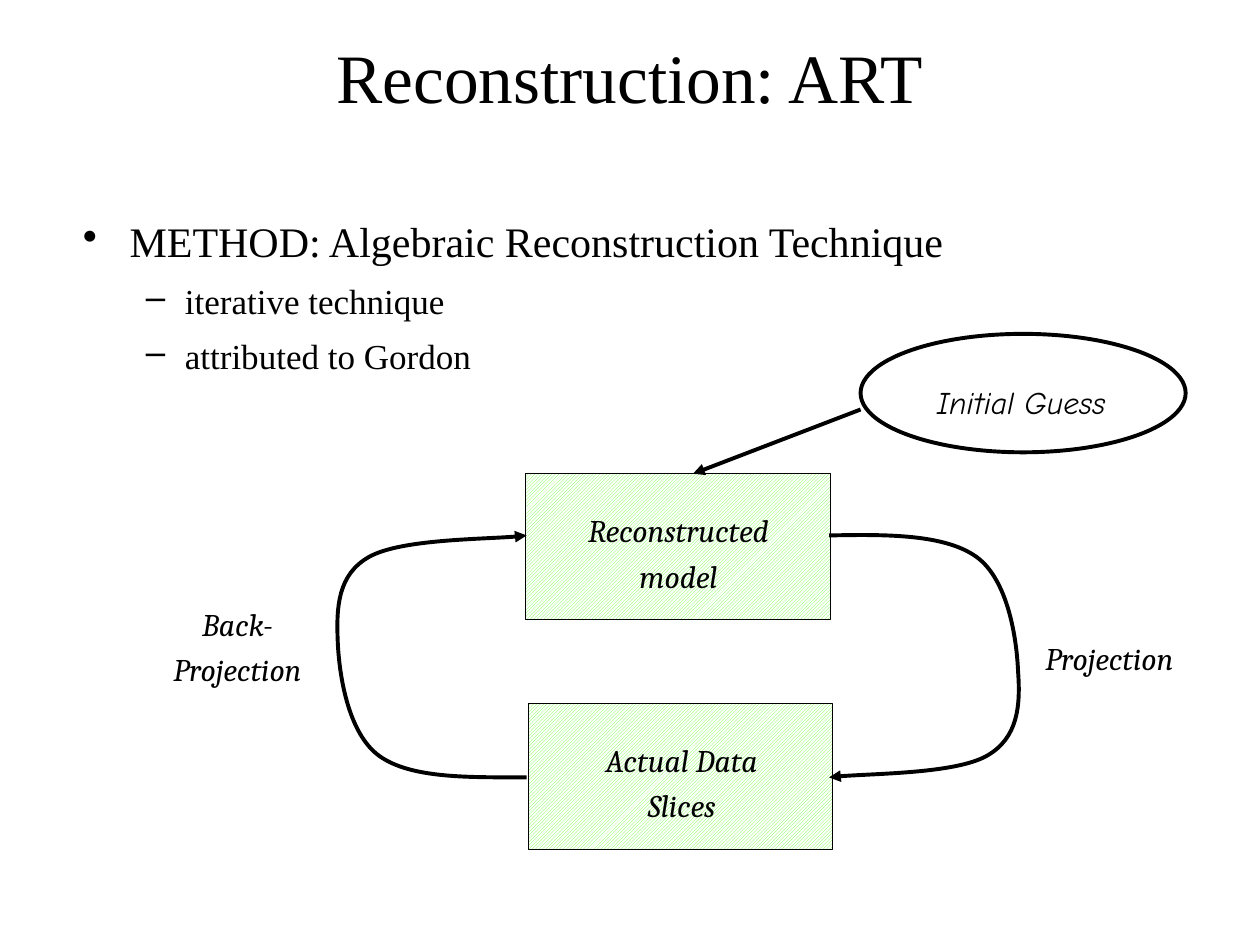
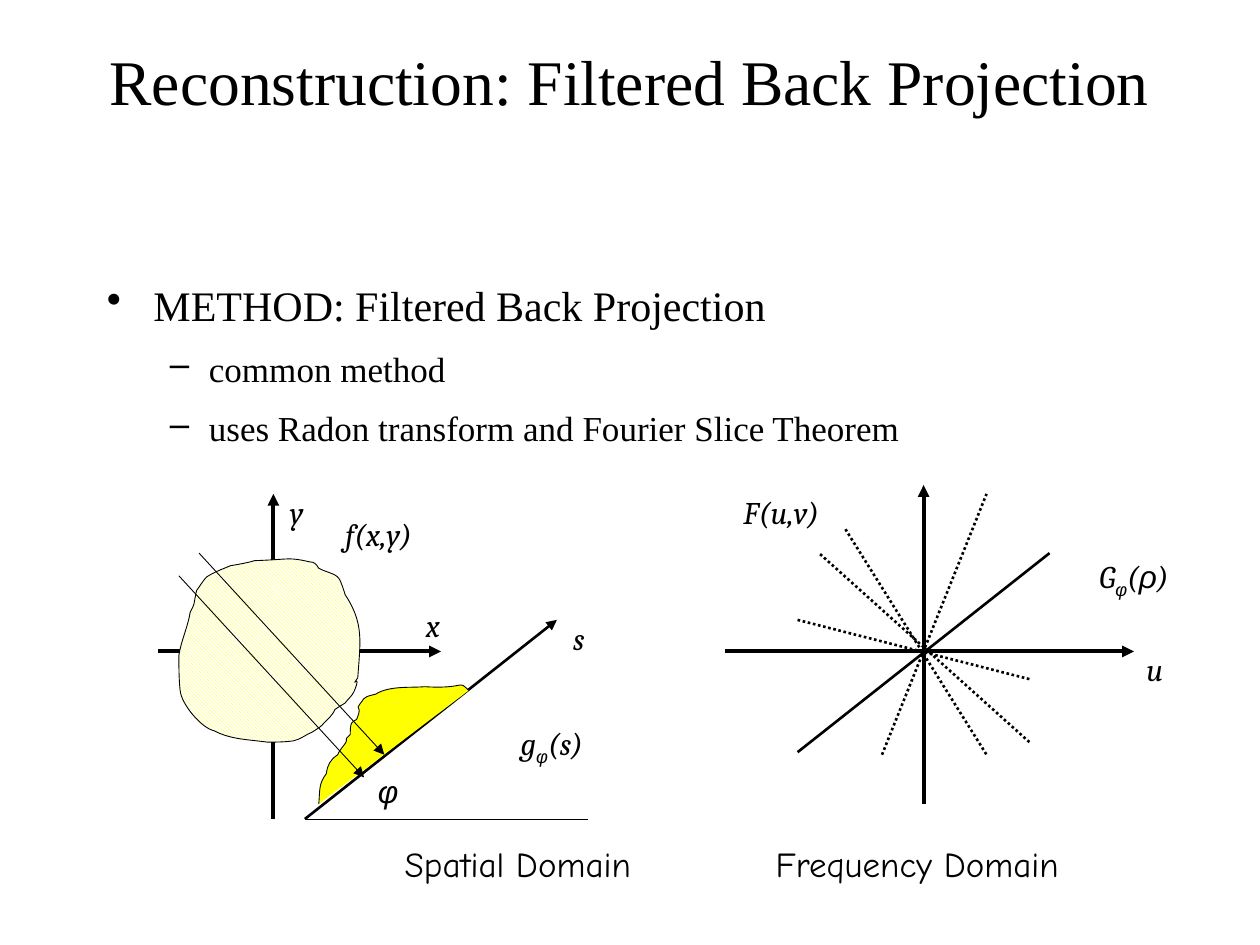
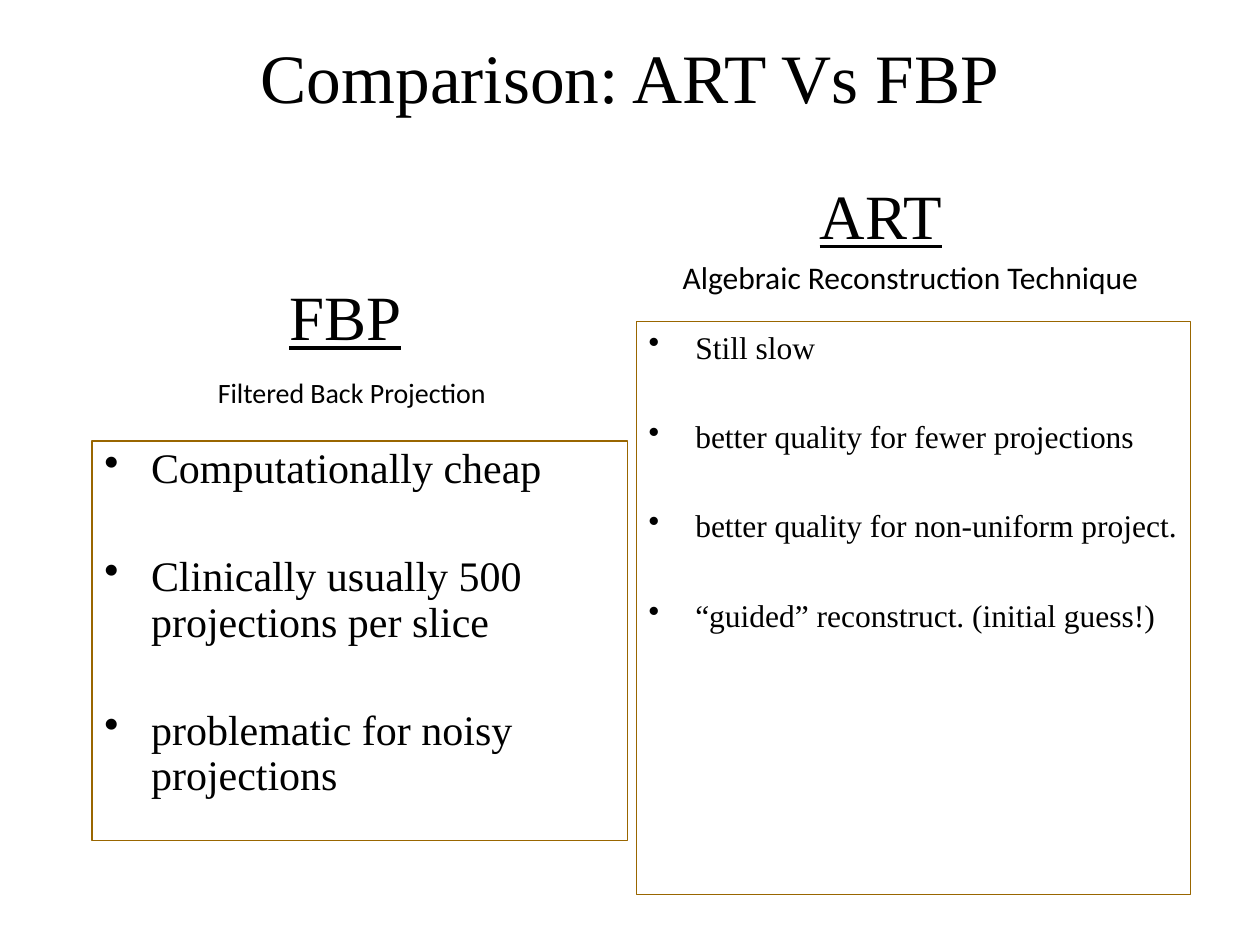
"""Build three slides on tomographic reconstruction methods."""
from lxml import etree
from pptx import Presentation
from pptx.dml.color import RGBColor
from pptx.enum.dml import MSO_LINE, MSO_PATTERN
from pptx.enum.shapes import MSO_CONNECTOR, MSO_SHAPE
from pptx.enum.text import MSO_ANCHOR, MSO_AUTO_SIZE, PP_ALIGN
from pptx.oxml.ns import qn
from pptx.util import Pt

PX = 9144
COLORS = {"ink": "000000", "paper": "FFFFFF", "green": "66FF33",
          "yellow": "FFFF00", "brown": "996600"}
SERIF, MATH, GREEK = "Times New Roman", "Cambria", "Arial"
CASUAL, SANS = "Comic Neue", "Calibri"
TITLE_ONLY = 5
CENTER, TOP, MIDDLE = PP_ALIGN.CENTER, MSO_ANCHOR.TOP, MSO_ANCHOR.MIDDLE
NO_FIT, GROW = MSO_AUTO_SIZE.NONE, MSO_AUTO_SIZE.SHAPE_TO_FIT_TEXT
RECT, OVAL = MSO_SHAPE.RECTANGLE, MSO_SHAPE.OVAL
STRAIGHT, DOTTED = MSO_CONNECTOR.STRAIGHT, MSO_LINE.ROUND_DOT
UP_HATCH = MSO_PATTERN.DARK_UPWARD_DIAGONAL
DOWN_HATCH = MSO_PATTERN.DARK_DOWNWARD_DIAGONAL
LEVELS = [("•", 37, 37, 24), ("–", 81, 31, 20)]

PROJECTION_LOOP = [
    (658, 425), (704, 424), (750, 424), (775, 442), (800, 460), (807, 507),
    (808, 533), (810, 560), (808, 586), (783, 600), (758, 614), (679, 614),
    (658, 617)]
BACK_PROJECTION_LOOP = [
    (418, 617), (372, 617), (326, 618), (301, 600), (276, 582), (269, 535),
    (268, 508), (267, 482), (268, 456), (293, 442), (318, 428), (397, 428),
    (418, 425)]
OBJECT_OUTLINE = [
    (246, 446), (228, 442), (232, 444), (202, 445), (196, 447), (183, 449),
    (183, 449), (176, 452), (170, 454), (164, 458), (162, 460), (160, 463),
    (158, 466), (157, 467), (156, 469), (156, 469), (153, 483), (155, 478),
    (151, 486), (149, 498), (144, 508), (142, 520), (142, 529), (142, 539),
    (143, 548), (144, 559), (160, 578), (170, 580), (183, 587), (198, 587),
    (212, 589), (219, 589), (226, 589), (233, 588), (238, 587), (243, 583),
    (248, 581), (257, 575), (252, 579), (262, 569), (264, 567), (265, 565),
    (266, 563), (269, 561), (274, 558), (274, 558), (276, 555), (279, 553),
    (281, 549), (288, 532), (277, 548), (284, 538), (286, 509), (289, 495),
    (274, 472), (273, 469), (271, 462), (269, 459), (266, 455), (258, 454),
    (253, 451), (251, 448), (250, 446), (246, 446)]
PROFILE_OUTLINE = [
    (253, 638), (254, 626), (253, 622), (259, 614), (260, 607), (262, 603),
    (268, 599), (269, 596), (272, 593), (274, 590), (275, 589), (275, 588),
    (275, 586), (276, 585), (277, 584), (278, 583), (278, 580), (278, 576),
    (279, 574), (280, 572), (282, 572), (283, 571), (289, 557), (280, 566),
    (287, 557), (288, 555), (289, 554), (291, 553), (293, 552), (298, 551),
    (298, 551), (309, 544), (326, 546), (337, 545), (371, 547), (363, 539),
    (372, 548)]


def rgb(name):
    """Return the named colour."""
    return RGBColor.from_string(COLORS[name])


def emu(*lengths):
    """Turn px lengths into EMU."""
    return [length * PX for length in lengths]


def add_run(p, text, size, font, italic=False, underline=False, sub=False):
    """Add one formatted run."""
    r = p.add_run()
    r.text = text
    r.font.size, r.font.name = Pt(size), font
    r.font.italic, r.font.underline = italic, underline
    r.font.color.rgb = rgb("ink")
    if sub:
        r.font._element.set("baseline", "-25000")


def add_title_slide(prs, text, size, spacing):
    """Add a slide and format its title."""
    slide = prs.slides.add_slide(prs.slide_layouts[TITLE_ONLY])
    sp = slide.shapes.title
    sp.left, sp.top, sp.width, sp.height = emu(50, 30, 900, 125)
    tf = sp.text_frame
    tf.auto_size, tf.vertical_anchor, tf.margin_top = NO_FIT, TOP, 10 * PX
    p = tf.paragraphs[0]
    p.alignment, p.line_spacing = CENTER, spacing
    add_run(p, text, size, SERIF)
    return slide


def add_bullets(slide, box, items, spacing=1.0, before=5, after=5, first=5,
                size=None, border=None):
    """Add a bulleted text box from (level, text) pairs."""
    sp = slide.shapes.add_textbox(*emu(*box))
    if border:
        sp.line.color.rgb, sp.line.width = rgb(border), Pt(0.75)
    tf = sp.text_frame
    tf.word_wrap = True
    for i, (level, text) in enumerate(items):
        p = tf.add_paragraph() if i else tf.paragraphs[0]
        mark, margin, hang, level_size = LEVELS[level]
        p.level, p.line_spacing = level, spacing
        p.space_before, p.space_after = Pt(before if i else first), Pt(after)
        pPr = p._p.get_or_add_pPr()
        pPr.set("marL", str(margin * PX))
        pPr.set("indent", str(-hang * PX))
        etree.SubElement(pPr, qn("a:buChar")).set("char", mark)
        add_run(p, text, size or level_size, SERIF)


def add_free_text(slide, box):
    """Add an unwrapped text box that fits its text."""
    tf = slide.shapes.add_textbox(*emu(*box)).text_frame
    tf.word_wrap, tf.auto_size = False, GROW
    return tf


def add_label(slide, box, runs, size=18, font=MATH, italic=True,
              underline=False):
    """Add a centred label from (text, font, subscript) runs or plain text."""
    tf = add_free_text(slide, box)
    tf.vertical_anchor = MIDDLE
    p = tf.paragraphs[0]
    p.alignment, p.line_spacing = CENTER, 1.2
    p.space_before, p.space_after = Pt(size / 2), Pt(10)
    if isinstance(runs, str):
        runs = [(runs, font, False)]
    for text, face, sub in runs:
        for i, line in enumerate(text.split("\n")):
            if i:
                p.add_line_break()
            add_run(p, line, size, face, italic, underline, sub)


def add_caption(slide, box, text, size):
    """Add a plain one-line caption."""
    add_run(add_free_text(slide, box).paragraphs[0], text, size, SANS)


def style_line(sp, width, arrow=False, dash=None):
    """Format a black line, with an arrowhead at its end if wanted."""
    sp.line.color.rgb, sp.line.width = rgb("ink"), Pt(width)
    if dash:
        sp.line.dash_style = dash
    if arrow:
        ln = sp.element.spPr.find(qn("a:ln"))
        etree.SubElement(ln, qn("a:tailEnd")).set("type", "triangle")


def fill_shape(sp, color=None, hatch=None):
    """Give a shape a hatch, a solid colour or no fill."""
    sp.shadow.inherit = False
    if hatch:
        sp.fill.patterned()
        sp.fill.pattern = hatch
        sp.fill.fore_color.rgb = rgb(color)
        sp.fill.back_color.rgb = rgb("paper")
    elif color:
        sp.fill.solid()
        sp.fill.fore_color.rgb = rgb(color)
    else:
        sp.fill.background()


def add_preset(slide, kind, box, width, color=None, hatch=None):
    """Add an outlined preset shape."""
    sp = slide.shapes.add_shape(kind, *emu(*box))
    fill_shape(sp, color, hatch)
    style_line(sp, width)


def add_line(slide, start, end, width, arrow=False, dash=None):
    """Add a straight line."""
    sp = slide.shapes.add_connector(STRAIGHT, *emu(*start, *end))
    style_line(sp, width, arrow, dash)
    etree.SubElement(sp.element.spPr, qn("a:effectLst"))


def add_curve(slide, points, width, color=None, hatch=None, arrow=False,
              close=False):
    """Add a Bézier outline: a start point, then three points a curve."""
    builder = slide.shapes.build_freeform(*points[0], scale=PX)
    builder.add_line_segments(points[1:], close=close)
    sp = builder.convert_to_shape()
    segments = list(sp.element.iter(qn("a:lnTo")))
    for i in range(0, len(segments), 3):
        cubic = etree.Element(qn("a:cubicBezTo"))
        segments[i].addprevious(cubic)
        for segment in segments[i:i + 3]:
            cubic.append(segment[0])
            segment.getparent().remove(segment)
    fill_shape(sp, color, hatch)
    style_line(sp, width, arrow)


def build_art(prs):
    """Build the slide on the iterative loop."""
    slide = add_title_slide(prs, "Reconstruction: ART", 39.6, 0.8)
    add_bullets(slide, (56, 171, 850, 158), [
        (0, "METHOD: Algebraic Reconstruction Technique"),
        (1, "iterative technique"),
        (1, "attributed to Gordon")], spacing=0.9)
    for x, y in [(417, 376), (419, 558)]:
        add_preset(slide, RECT, (x, y, 242, 116), 0.5, "green", UP_HATCH)
    for loop in (PROJECTION_LOOP, BACK_PROJECTION_LOOP):
        add_curve(slide, loop, 2.25, arrow=True)
    for box, text in [((433, 376, 211, 120), "Reconstructed\nmodel"),
                      ((450, 558, 182, 120), "Actual Data\nSlices"),
                      ((800, 483, 161, 72), "Projection"),
                      ((108, 450, 161, 120), "Back-\nProjection")]:
        add_label(slide, box, text)
    add_label(slide, (702, 280, 217, 72), "Initial Guess", font=CASUAL)
    add_preset(slide, OVAL, (683, 265, 258, 94), 2.25)
    add_line(slide, (683, 325), (550, 376), 2.25, arrow=True)


def build_fbp(prs):
    """Build the slide on the spatial and frequency domains."""
    slide = add_title_slide(prs, "Reconstruction: Filtered Back Projection",
                            36.3, 0.9)
    add_bullets(slide, (75, 217, 850, 167), [
        (0, "METHOD: Filtered Back Projection"),
        (1, "common method"),
        (1, "uses Radon transform and Fourier Slice Theorem")])
    for start, end in [((217, 650), (217, 392)), ((125, 517), (350, 517)),
                       ((733, 638), (733, 385)), ((575, 517), (900, 517))]:
        add_line(slide, start, end, 2.25, arrow=True)
    add_curve(slide, OBJECT_OUTLINE, 0.5, "yellow", DOWN_HATCH, close=True)
    add_line(slide, (242, 650), (442, 492), 1.5, arrow=True)
    add_line(slide, (242, 650), (467, 650), 0.5)
    add_curve(slide, PROFILE_OUTLINE, 0.5, "yellow")
    for x, y in [(142, 457), (158, 439)]:
        add_line(slide, (x, y), (x + 147, y + 160), 0.5, arrow=True)
    add_line(slide, (633, 597), (833, 439), 1.5)
    for start, end in [((817, 589), (650, 439)), ((671, 420), (783, 599)),
                       ((700, 599), (783, 392)), ((633, 492), (817, 539))]:
        add_line(slide, start, end, 1.5, dash=DOTTED)
    phi = ("φ", GREEK, True)
    for x, y, w, runs in [
            (256, 385, 89, "f(x,y)"), (218, 367, 35, "y"),
            (326, 457, 35, "x"), (443, 467, 33, "s"),
            (289, 589, 38, [("φ", GREEK, False)]),
            (396, 552, 84, [("g", MATH, False), phi, ("(s)", MATH, False)]),
            (852, 420, 96, [("G", MATH, False), phi, ("(", MATH, False),
                            ("ρ", GREEK, False), (")", MATH, False)]),
            (898, 492, 37, "u"), (569, 367, 102, "F(u,v)")]:
        add_label(slide, (x, y, w, 72), runs)
    for x, w, text in [(305, 212, "Spatial Domain"),
                       (601, 254, "Frequency Domain")]:
        add_label(slide, (x, 650, w, 64), text, 20, CASUAL, italic=False)


def build_comparison(prs):
    """Build the slide that compares both methods."""
    slide = add_title_slide(prs, "Comparison: ART Vs FBP", 39.6, 0.8)
    add_bullets(slide, (73, 350, 425, 317), [
        (0, "Computationally cheap"),
        (0, "Clinically usually 500 projections per slice"),
        (0, "problematic for noisy projections")],
        spacing=0.9, before=36, after=0, first=2, border="brown")
    add_bullets(slide, (505, 255, 440, 455), [
        (0, "Still slow"),
        (0, "better quality for fewer projections"),
        (0, "better quality for non-uniform project."),
        (0, "“guided” reconstruct. (initial guess!)")],
        before=29.5, after=0, first=2, size=18, border="brown")
    for box, text in [((219, 203, 110, 83), "FBP"),
                      ((638, 123, 122, 82), "ART")]:
        add_label(slide, box, text, 36, SERIF, italic=False, underline=True)
    add_caption(slide, (532, 200, 388, 40),
                "Algebraic Reconstruction Technique", 18)
    add_caption(slide, (163, 293, 238, 37), "Filtered Back Projection", 16)


def main():
    """Build and save the deck."""
    prs = Presentation()
    prs.slide_width, prs.slide_height = emu(1000, 750)
    build_art(prs)
    build_fbp(prs)
    build_comparison(prs)
    prs.save("out.pptx")


if __name__ == "__main__":
    main()
